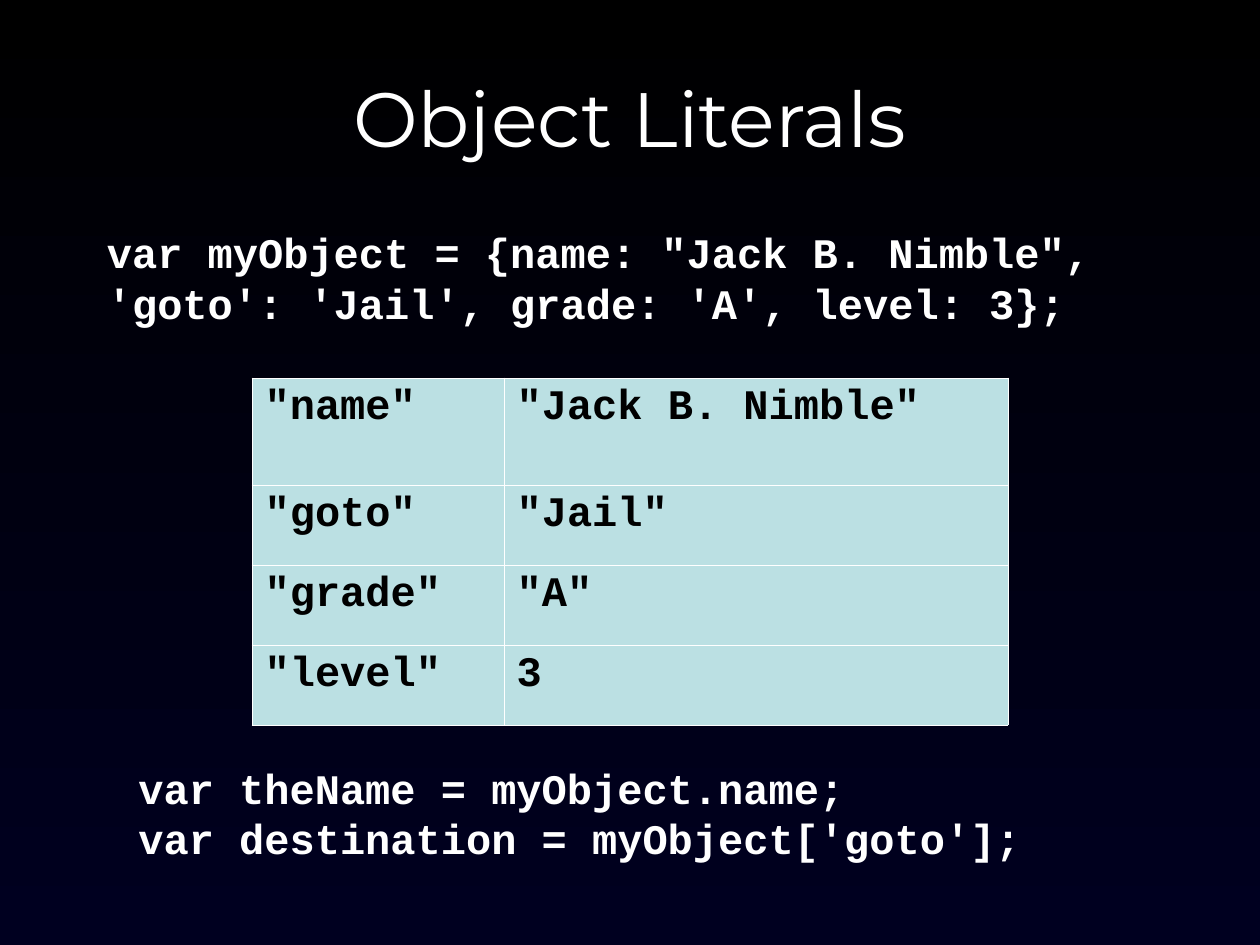
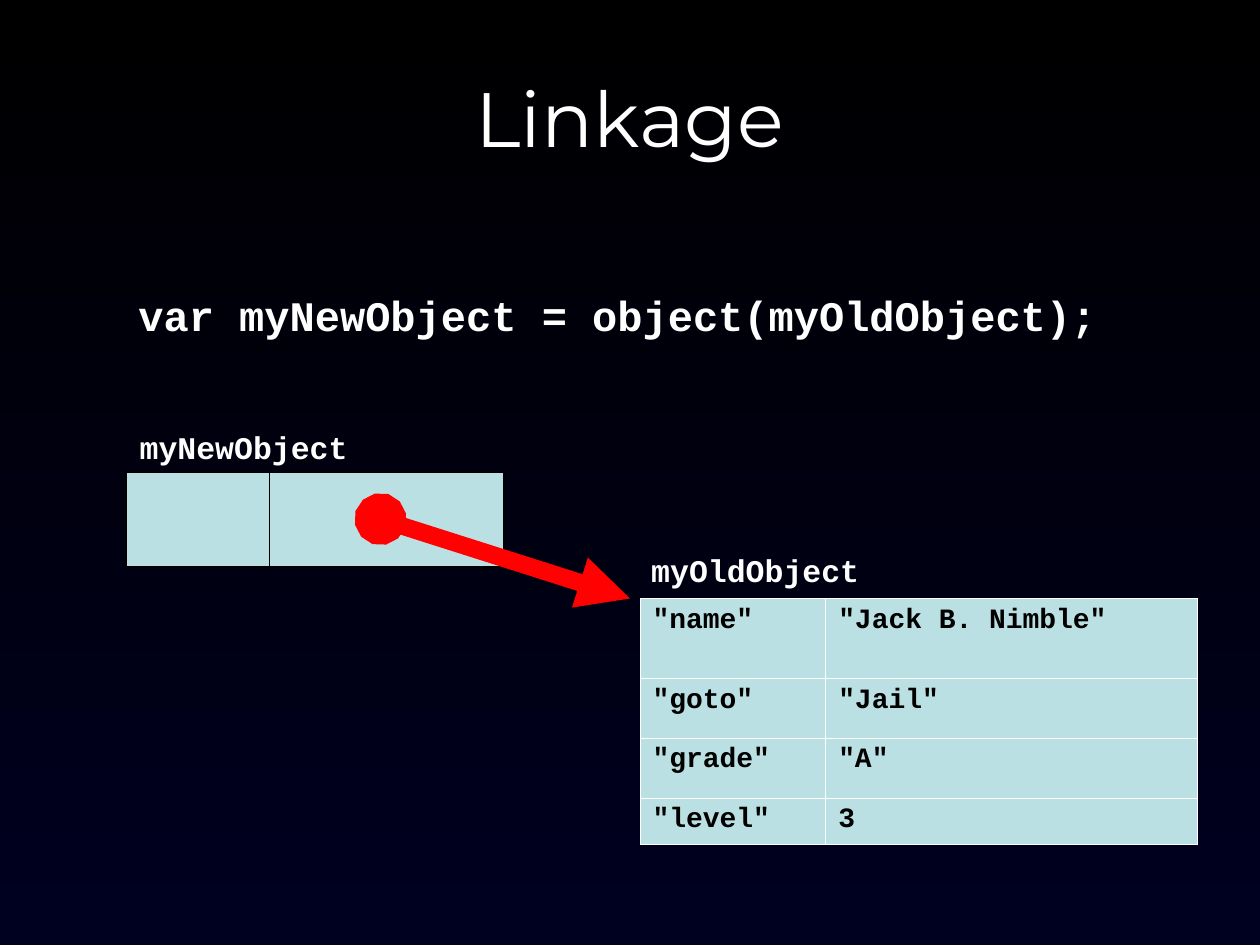
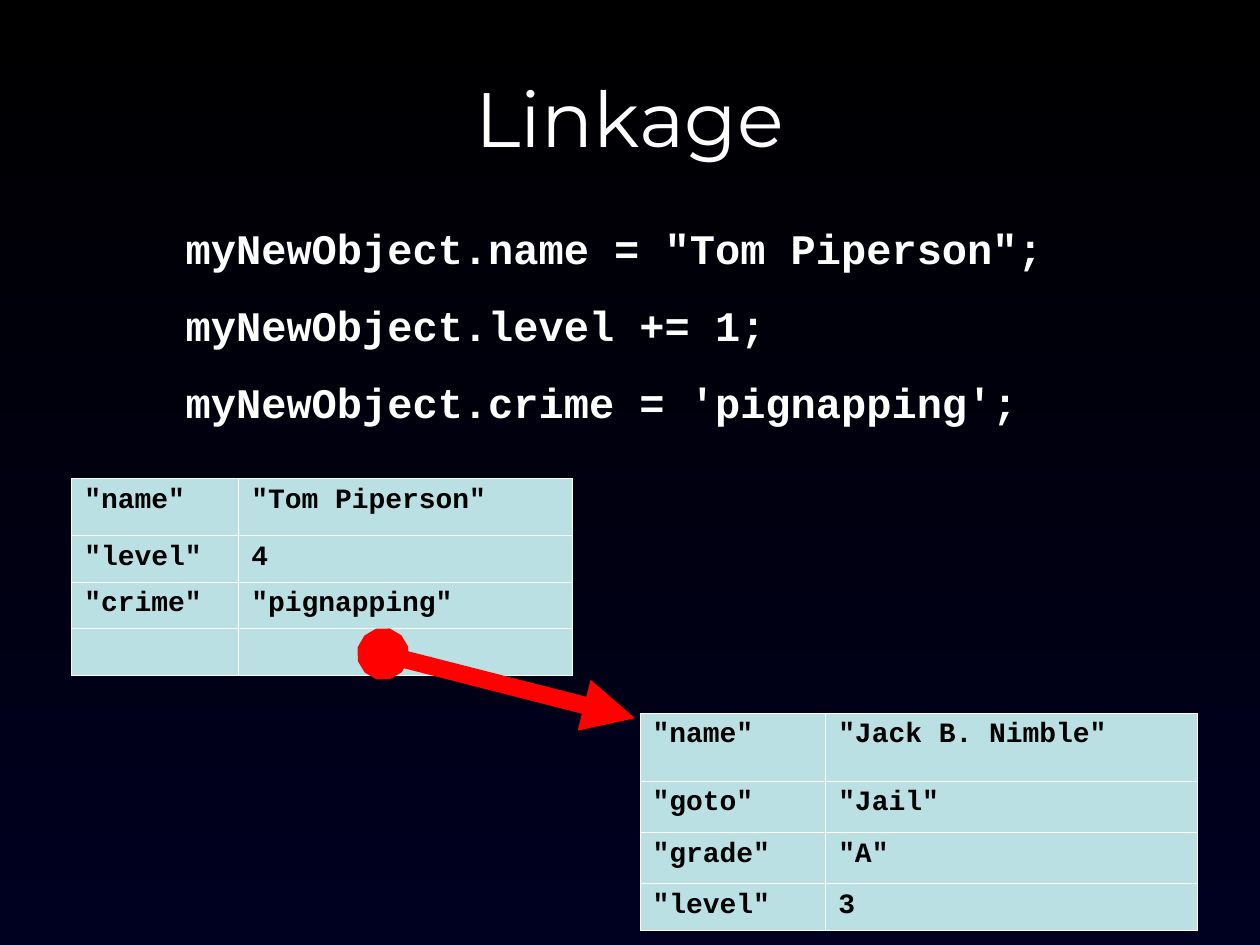
from lxml import etree
from pptx import Presentation
from pptx import util as u
from pptx.dml.color import RGBColor
from pptx.enum import shapes, text
from pptx.oxml import ns

WIDTH, HEIGHT = u.Inches(10), u.Inches(7.5)
COLUMN, ROW = WIDTH / 40, HEIGHT / 30
CODE_FONT, TITLE_FONT = "Courier New", "Montserrat"
BLACK, NIGHT, WHITE = "000000", "000020", "FFFFFF"
CELL_FILL, LINK = "BBE0E3", "FF0101"

OLD_OBJECT = [
    ('"name"', '"Jack B. Nimble"'),
    ('"goto"', '"Jail"'),
    ('"grade"', '"A"'),
    ('"level"', "3"),
]
NEW_OBJECT = [
    ('"name"', '"Tom Piperson"'),
    ('"level"', "4"),
    ('"crime"', '"pignapping"'),
    ("", ""),
]


def color(value):
    return RGBColor.from_string(value)


def across(columns):
    return u.Emu(round(columns * COLUMN))


def down(rows):
    return u.Emu(round(rows * ROW))


def place(left, top, width, height):
    return across(left), down(top), across(width), down(height)


def child(parent, tag, **attributes):
    return etree.SubElement(parent, ns.qn(tag), attributes)


def set_font(paragraph, name, size, value, bold):
    font = paragraph.font
    font.name, font.size, font.bold = name, u.Pt(size), bold
    font.color.rgb = color(value)


def set_background(presentation):
    fill = presentation.slide_master.background.fill
    fill.gradient()
    fill.gradient_angle = 270
    for stop, value in zip(fill.gradient_stops, (BLACK, NIGHT)):
        stop.color.rgb = color(value)


def add_slide(presentation, heading):
    slide = presentation.slides.add_slide(presentation.slide_layouts[5])
    title = slide.shapes.title
    title.left, title.top, title.width, title.height = place(2, 1.2, 36, 5)
    frame = title.text_frame
    frame.text = heading
    frame.vertical_anchor = text.MSO_ANCHOR.MIDDLE
    paragraph = frame.paragraphs[0]
    paragraph.alignment = text.PP_ALIGN.CENTER
    set_font(paragraph, TITLE_FONT, 44, WHITE, False)
    return slide


def add_code(slide, box, lines, size=24, before=0, wrap=True):
    frame = slide.shapes.add_textbox(*place(*box)).text_frame
    frame.word_wrap = wrap
    frame.auto_size = text.MSO_AUTO_SIZE.SHAPE_TO_FIT_TEXT
    frame.text = "\n".join(lines)
    for paragraph in frame.paragraphs:
        paragraph.space_before = u.Pt(before)
        set_font(paragraph, CODE_FONT, size, WHITE, True)


def add_label(slide, left, top, name):
    add_code(slide, (left, top, 7.4, 1.6), [name], size=18, wrap=False)


def set_borders(cell, value, width):
    properties = cell._tc.get_or_add_tcPr()
    for side in ("a:lnL", "a:lnR", "a:lnT", "a:lnB"):
        line = child(properties, side, w=str(u.Pt(width)))
        child(child(line, "a:solidFill"), "a:srgbClr", val=value)


def add_object(slide, left, top, width, heights, members, size=16,
               key_share=1 / 3, border=(WHITE, 0.45)):
    box = place(left, top, width, sum(heights))
    table = slide.shapes.add_table(len(members), 2, *box).table
    table.first_row = table.horz_banding = False
    for column, share in zip(table.columns, (key_share, 1 - key_share)):
        column.width = across(width * share)
    for row, height, member in zip(table.rows, heights, members):
        row.height = down(height)
        for cell, content in zip(row.cells, member):
            cell.text = content
            paragraph = cell.text_frame.paragraphs[0]
            paragraph.space_before = u.Pt(size / 4)
            set_font(paragraph, CODE_FONT, size, BLACK, True)
            set_borders(cell, *border)
            cell.fill.solid()
            cell.fill.fore_color.rgb = color(CELL_FILL)


def add_link(slide, start, end):
    connector = slide.shapes.add_connector(
        shapes.MSO_CONNECTOR.STRAIGHT,
        across(start[0]), down(start[1]), across(end[0]), down(end[1]))
    connector.line.width = u.Pt(10)
    connector.line.color.rgb = color(LINK)
    line = connector.line._get_or_add_ln()
    child(line, "a:headEnd", type="oval")
    child(line, "a:tailEnd", type="triangle")
    child(connector._element.spPr, "a:effectLst")


def build_literals(presentation):
    slide = add_slide(presentation, "Object Literals")
    add_code(slide, (3, 7, 34, 3.6), [
        "var myObject = {name: \"Jack B. Nimble\", "
        "'goto': 'Jail', grade: 'A', level: 3};"], before=15)
    add_object(slide, 8, 12, 24, (3.4, 2.54, 2.54, 2.54), OLD_OBJECT, size=24)
    add_code(slide, (4, 24, 32, 3.6), [
        "var theName = myObject.name;",
        "var destination = myObject['goto'];"])


def build_linkage(presentation):
    slide = add_slide(presentation, "Linkage")
    add_object(slide, 20.32, 19, 17.68, (2.54, 1.9, 1.9, 1.48), OLD_OBJECT)
    add_code(slide, (4, 9, 32.76, 2),
             ["var myNewObject = object(myOldObject);"], before=15)
    add_object(slide, 4, 15, 12, (3,), [("", "")],
               key_share=0.38, border=(BLACK, 1.08))
    add_link(slide, (12.08, 16.48), (20, 19))
    add_label(slide, 4.04, 13.4, "myNewObject")
    add_label(slide, 20.28, 17.3, "myOldObject")


def build_changes(presentation):
    slide = add_slide(presentation, "Linkage")
    add_object(slide, 2.28, 15.2, 15.9, (1.8, 1.48, 1.48, 1.48), NEW_OBJECT)
    add_code(slide, (5.5, 6.88, 29, 6.88), [
        'myNewObject.name = "Tom Piperson";',
        "myNewObject.level += 1;",
        "myNewObject.crime = 'pignapping';"], before=15)
    add_link(slide, (12.16, 20.76), (20.16, 22.8))
    add_object(slide, 20.32, 22.64, 17.68, (2.16, 1.63, 1.63, 1.48), OLD_OBJECT)


def main():
    presentation = Presentation()
    presentation.slide_width, presentation.slide_height = WIDTH, HEIGHT
    set_background(presentation)
    build_literals(presentation)
    build_linkage(presentation)
    build_changes(presentation)
    presentation.save("out.pptx")


if __name__ == "__main__":
    main()
